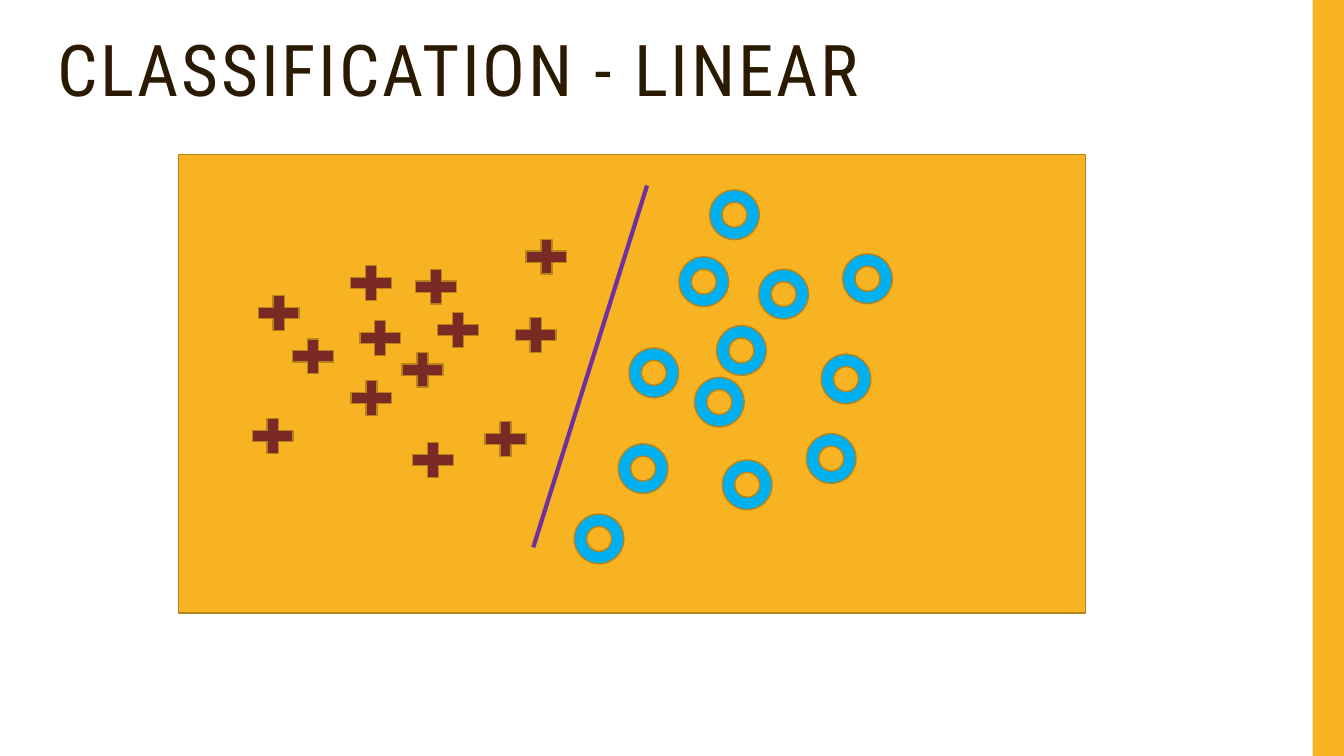
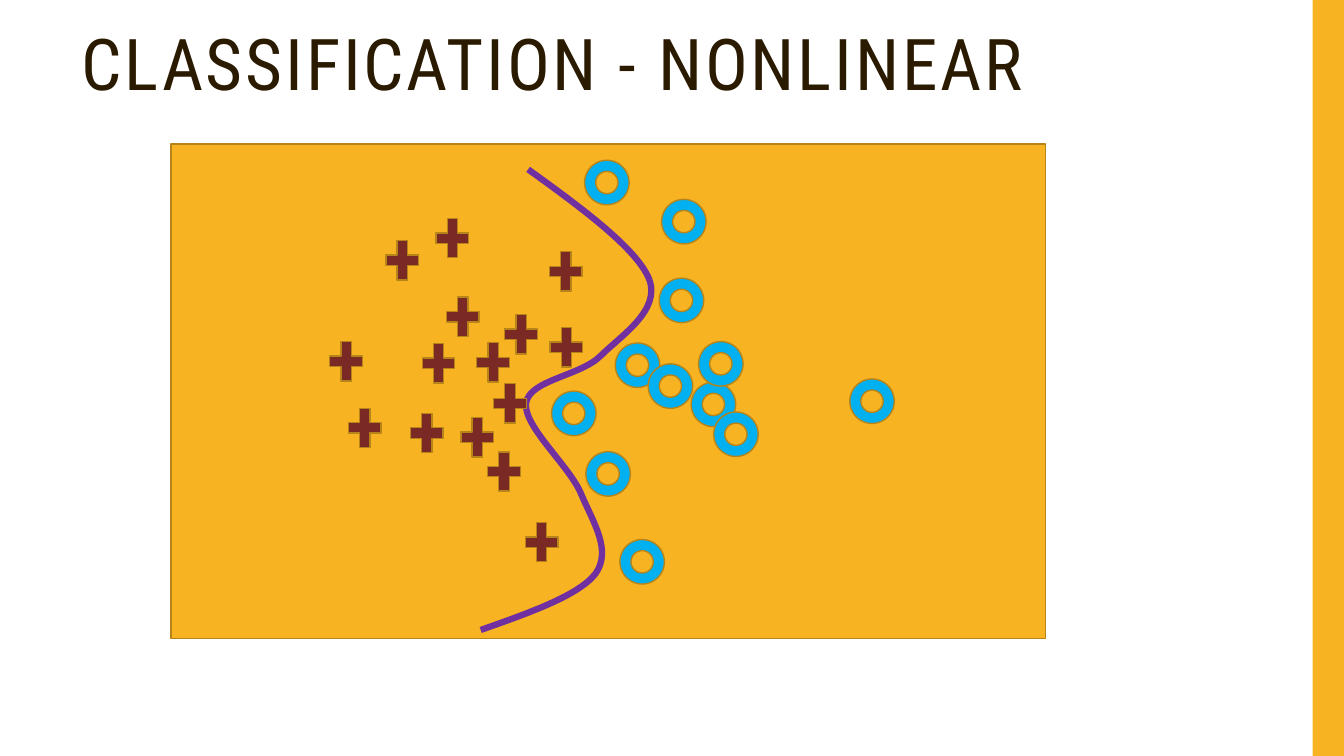
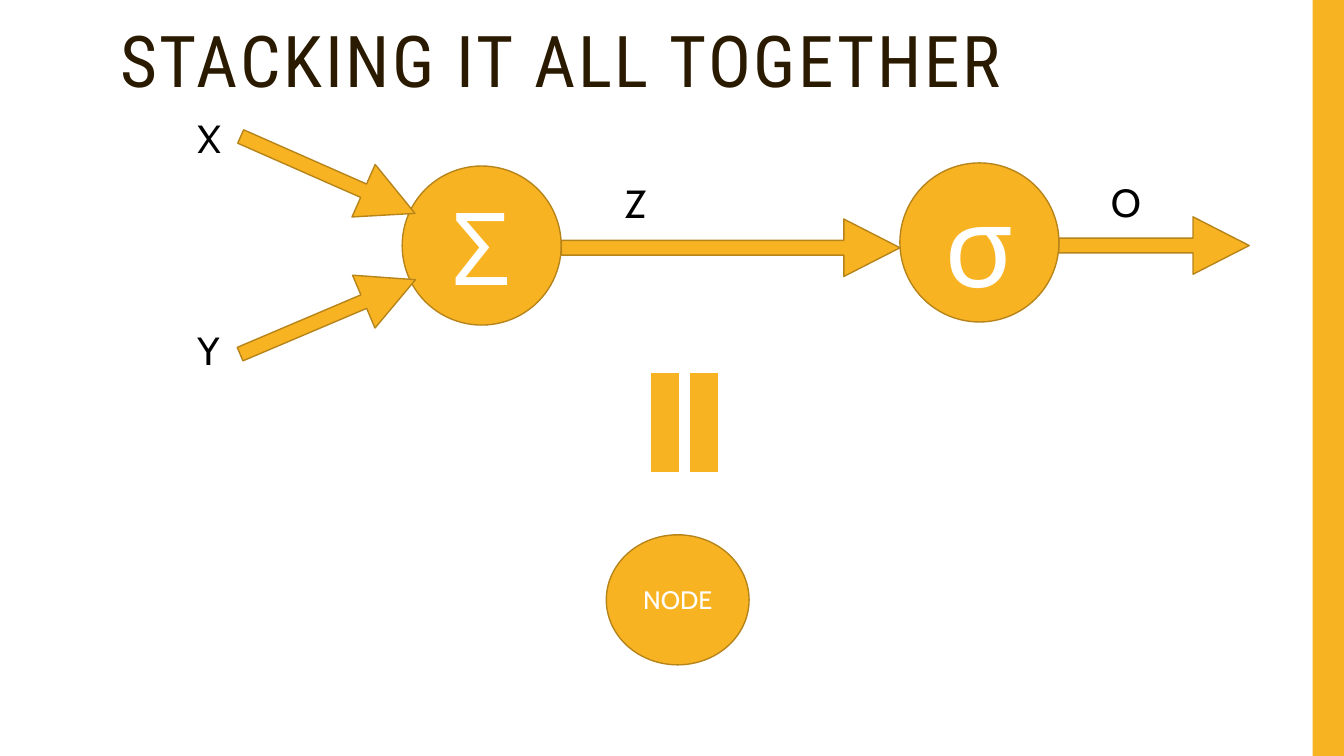
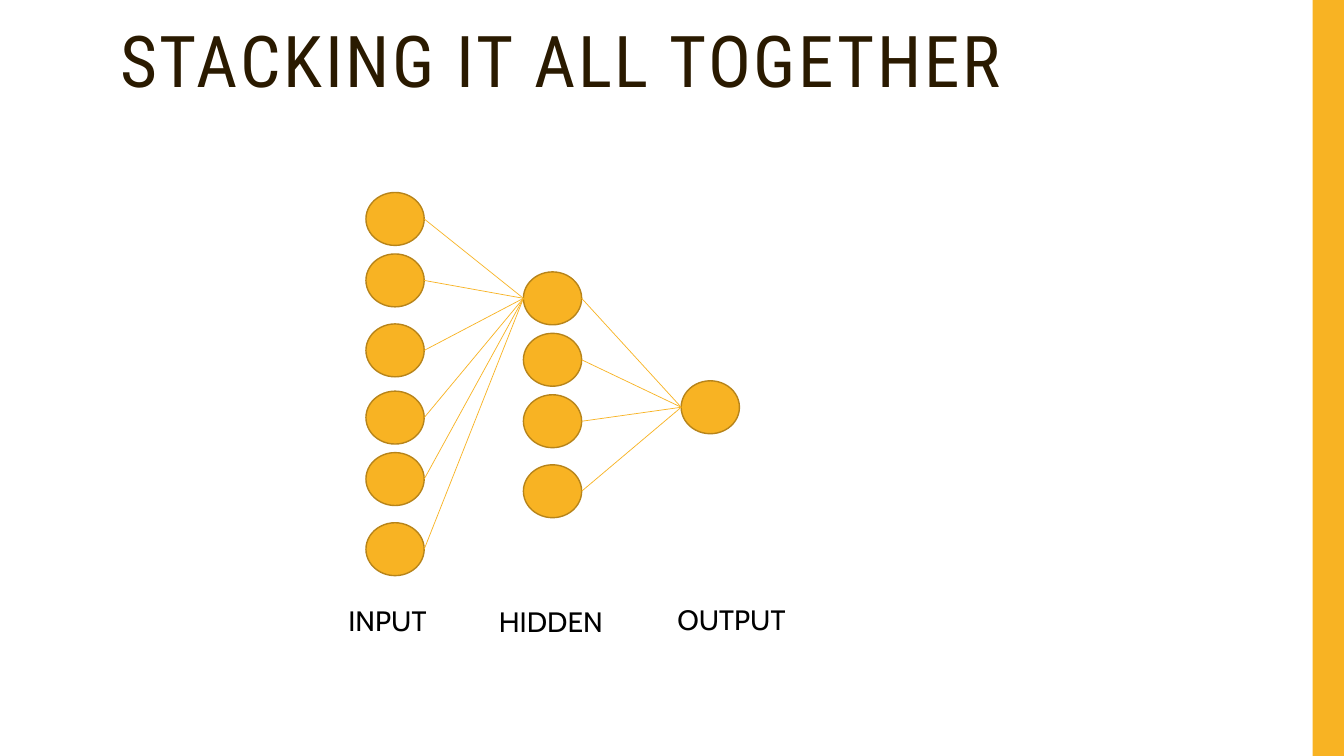
import pptx
import pptx.dml.color
import pptx.enum.shapes
import pptx.enum.text
import pptx.oxml.ns
import pptx.oxml.xmlchemy
import pptx.util

Pt = pptx.util.Pt
SHAPE = pptx.enum.shapes.MSO_SHAPE
COLORS = {
    "gold": "F8B323",
    "edge": "B7841A",
    "title": "2A1A00",
    "plus": "7A2924",
    "ring": "00B0F0",
    "boundary": "7030A0",
    "text": "000000",
    "white": "FFFFFF",
}


def color(name):
    return pptx.dml.color.RGBColor.from_string(COLORS[name])


def element(tag):
    return pptx.oxml.xmlchemy.OxmlElement(tag)


class Slides:
    """Hold the shared style and draw on the current page."""

    heading_font = "Roboto Condensed"
    body_font = "Cabin"

    def __init__(self):
        self.deck = pptx.Presentation()
        self.deck.slide_width = Pt(960)
        self.deck.slide_height = Pt(540)
        self.page = None

    def new_page(self, title, left, top, width=801.4, height=63.4):
        self.page = self.deck.slides.add_slide(self.deck.slide_layouts[6])
        self.shape(SHAPE.RECTANGLE, 937.6, 0, 22.4, 540, edge=None)
        box = self.page.shapes.add_textbox(Pt(left), Pt(top), Pt(width), Pt(height))
        box.text_frame.word_wrap = True
        box.text_frame.text = title
        para = box.text_frame.paragraphs[0]
        para.line_spacing = 0.9
        self.style(box, 51, "title", self.heading_font)
        para.runs[0].font._element.set("spc", "200")

    def style(self, box, size, name, font=body_font):
        for para in box.text_frame.paragraphs:
            for span in para.runs:
                span.font.name = font
                span.font.size = Pt(size)
                span.font.color.rgb = color(name)

    def shape(self, kind, left, top, width, height, fill="gold", edge="edge"):
        shape = self.page.shapes.add_shape(kind, Pt(left), Pt(top), Pt(width), Pt(height))
        shape.shadow.inherit = False
        shape.fill.solid()
        shape.fill.fore_color.rgb = color(fill)
        if edge:
            shape.line.color.rgb = color(edge)
            shape.line.width = Pt(1)
        else:
            shape.line.fill.background()
        return shape

    def markers(self, kind, fill, width, height, places):
        for left, top in places:
            self.shape(kind, left, top, width, height, fill)

    def node(self, left, top, width, height, text="", size=18):
        node = self.shape(SHAPE.OVAL, left, top, width, height)
        if text:
            node.text_frame.text = text
            node.text_frame.paragraphs[0].alignment = pptx.enum.text.PP_ALIGN.CENTER
            self.style(node, size, "white")

    def arrow(self, left, top, width, rotation=0):
        arrow = self.shape(SHAPE.RIGHT_ARROW, left, top, width, 41)
        arrow.adjustments[0] = 0.255
        arrow.adjustments[1] = 0.978
        arrow.rotation = rotation

    def label(self, text, left, top, width, height, size):
        box = self.page.shapes.add_textbox(Pt(left), Pt(top), Pt(width), Pt(height))
        box.text_frame.word_wrap = False
        box.text_frame.auto_size = pptx.enum.text.MSO_AUTO_SIZE.SHAPE_TO_FIT_TEXT
        box.text_frame.text = text
        self.style(box, size, "text")

    def line(self, start, end, width, name="gold"):
        line = self.page.shapes.add_connector(
            pptx.enum.shapes.MSO_CONNECTOR.STRAIGHT, *map(Pt, start + end)
        )
        line.line.color.rgb = color(name)
        line.line.width = Pt(width)
        line._element.spPr.append(element("a:effectLst"))

    def curve(self, start, pieces, width, name):
        builder = self.page.shapes.build_freeform(Pt(start[0]), Pt(start[1]))
        ends = [(Pt(x), Pt(y)) for _, _, (x, y) in pieces]
        builder.add_line_segments(ends, close=False)
        curve = builder.convert_to_shape()
        straights = list(curve._element.iter(pptx.oxml.ns.qn("a:lnTo")))
        for straight, piece in zip(straights, pieces):
            bend = element("a:cubicBezTo")
            for x, y in piece:
                point = element("a:pt")
                point.set("x", str(Pt(x) - curve.left))
                point.set("y", str(Pt(y) - curve.top))
                bend.append(point)
            straight.getparent().replace(straight, bend)
        curve.shadow.inherit = False
        curve.fill.background()
        curve.line.color.rgb = color(name)
        curve.line.width = Pt(width)


def linear(slides):
    slides.new_page("CLASSIFICATION - LINEAR", 33.8, 21.6)
    slides.shape(SHAPE.RECTANGLE, 127.4, 110.5, 648, 327.5)
    slides.markers(SHAPE.MATH_PLUS, "plus", 39.6, 33.8, [
        (245.2, 185.2), (307.4, 218.9), (362.9, 222.5), (203.8, 237.6),
        (289.4, 311.8), (179.3, 206.6), (251.8, 224.6), (175, 294.5),
        (282, 247.2), (245.5, 267.3), (291.6, 187.9), (341.3, 296.6),
        (370.5, 166.5),
    ])
    slides.markers(SHAPE.DONUT, "ring", 35.5, 35.5, [
        (485, 183.5), (586.6, 253), (542, 192.4), (601.9, 181.4),
        (511.9, 232.6), (496.1, 269.5), (516, 328.6), (576, 309.8),
        (449.3, 248.6), (410.2, 367.2), (441.6, 317), (506.9, 135.7),
    ])
    slides.line((462.2, 132.5), (380.9, 391), 3, "boundary")


def nonlinear(slides):
    slides.new_page("CLASSIFICATION - NONLINEAR", 51.1, 17.3)
    slides.shape(SHAPE.RECTANGLE, 122.2, 102.9, 624.7, 353)
    slides.markers(SHAPE.DONUT, "ring", 31.8, 31.8, [
        (439.5, 245), (470.9, 198.7), (493.7, 273), (499, 244),
        (472.6, 142.4), (607, 270.7), (442.8, 385.4), (417.6, 114.5),
        (463, 259.9), (394, 279.4), (418.5, 322.6), (509.8, 294.3),
    ])
    slides.curve((343.4, 450), [
        ((378, 437.8), (413.3, 425.5), (425.5, 409.7)),
        ((437, 393.1), (424.1, 373.7), (415.4, 353.5)),
        ((407.5, 333.4), (373.7, 304.6), (375.8, 288)),
        ((378, 271.4), (414.7, 268.6), (429.1, 254.2)),
        ((443.5, 239.8), (472.3, 221.8), (463.7, 199.4)),
        ((455, 177.8), (416.2, 149), (377.3, 121)),
    ], 4.5, "boundary")
    slides.markers(SHAPE.MATH_PLUS, "plus", 31.7, 38.2, [
        (307.4, 151), (388.3, 174.8), (388.8, 229), (271.6, 166.8),
        (336.4, 239.8), (297.4, 240.5), (244.8, 286.6), (289, 290.2),
        (314.8, 207.2), (325, 293.2), (356.4, 219.8), (344.2, 317.7),
        (231.4, 239), (348.5, 269.1), (371, 368.1),
    ])


def single_node(slides):
    slides.new_page("STACKING IT ALL TOGETHER", 78.7, 15.1, 739.4, 74.9)
    slides.node(287.3, 118.6, 113.6, 113.6, "Σ", 72)
    slides.arrow(166.1, 205.9, 136.1, 337)
    slides.arrow(166.1, 104.5, 136.1, 23.8)
    slides.arrow(756.2, 154.9, 136.1)
    slides.node(642.8, 116.4, 113.6, 113.6, "σ", 80)
    slides.arrow(401, 156.5, 241.9)
    for text, left, top, width in [
        ("Y", 133.9, 229.9, 31.7),
        ("X", 133.9, 78.2, 34.6),
        ("Z", 439.2, 124.6, 33.1),
        ("O", 786.4, 123.8, 37.4),
    ]:
        slides.label(text, left, top, width, 41, 28)
    for x in (475.2, 502.6):
        slides.line((x, 266.4), (x, 337.3), 20)
    slides.node(433.1, 382, 102, 92.9, "NODE")


def network(slides):
    slides.new_page("STACKING IT ALL TOGETHER", 78.7, 15.1, 739.4, 74.9)
    width, height = 41.6, 37.8
    layers = [
        (261.4, [137.5, 181.4, 231.4, 279.4, 323.3, 373.4]),
        (373.9, [194.2, 238.1, 282, 332]),
        (486.6, [272]),
    ]
    for left, tops in layers:
        for top in tops:
            slides.node(left, top, width, height)
    for (left, tops), (target, target_tops) in zip(layers, layers[1:]):
        end = (target, target_tops[0] + height / 2)
        for top in tops:
            slides.line((left + width, top + height / 2), end, 0.5)
    slides.label("INPUT", 241.7, 427.4, 72, 31.7, 20)
    slides.label("HIDDEN", 349.2, 428.4, 90.7, 31.7, 20)
    slides.label("OUTPUT", 476.8, 427, 94.3, 31.7, 20)


def main():
    slides = Slides()
    for draw in (linear, nonlinear, single_node, network):
        draw(slides)
    slides.deck.save("out.pptx")


if __name__ == "__main__":
    main()
